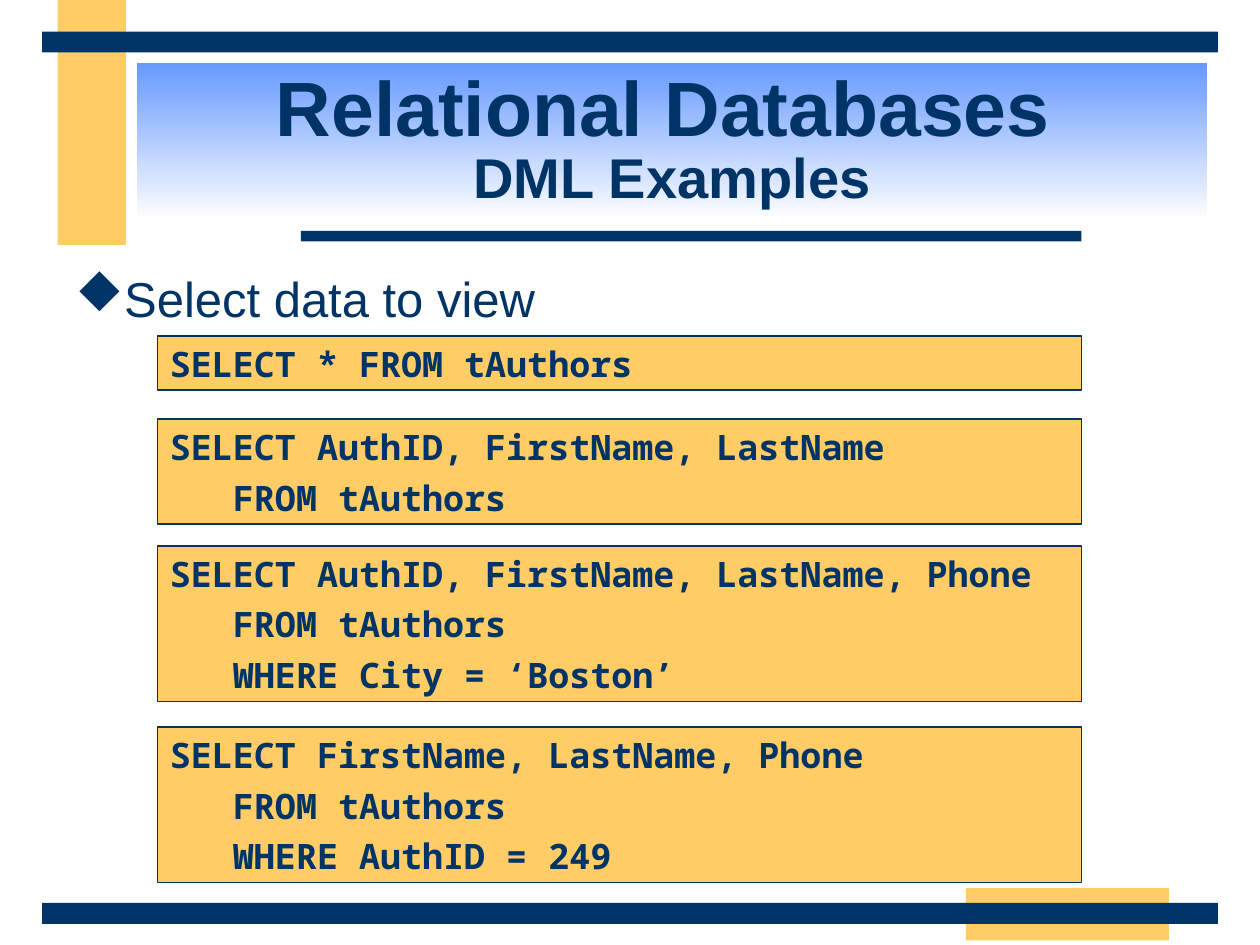
from lxml.etree import SubElement
from pptx import Presentation
from pptx.dml.color import RGBColor
from pptx.enum.shapes import MSO_SHAPE
from pptx.enum.text import MSO_ANCHOR, MSO_AUTO_SIZE, PP_ALIGN
from pptx.oxml.ns import qn
from pptx.util import Pt

COLORS = {"navy": "003366", "gold": "FFCC66", "blue": "6699FF", "white": "FFFFFF"}


def color(name):
    return RGBColor.from_string(COLORS[name])


class SlideBuilder:
    sans = "Arial"
    mono = "Noto Sans Mono"

    def __init__(self, page):
        self.page = page

    def span(self, para, text, size, font, bold=False):
        span = para.add_run()
        span.text = text
        span.font.size = Pt(size)
        span.font.name = font
        span.font.bold = bold
        span.font.color.rgb = color("navy")

    def bar(self, left, top, width, height, fill):
        bar = self.page.shapes.add_shape(
            MSO_SHAPE.RECTANGLE, Pt(left), Pt(top), Pt(width), Pt(height))
        bar.shadow.inherit = False
        bar.fill.solid()
        bar.fill.fore_color.rgb = color(fill)
        bar.line.fill.background()
        return bar

    def title(self, left, top, width, height, heading, subheading):
        title = self.page.shapes.title
        title.left, title.top = Pt(left), Pt(top)
        title.width, title.height = Pt(width), Pt(height)
        title.fill.gradient()
        title.fill.gradient_angle = 270
        for stop, name in zip(title.fill.gradient_stops, ("blue", "white")):
            stop.color.rgb = color(name)
        frame = title.text_frame
        frame.word_wrap = True
        frame.auto_size = MSO_AUTO_SIZE.NONE
        frame.vertical_anchor = MSO_ANCHOR.MIDDLE
        para = frame.paragraphs[0]
        para.alignment = PP_ALIGN.CENTER
        para.line_spacing = 0.85
        self.span(para, heading, 44, self.sans, True)
        self.span(para, " ", 36, self.sans, True)
        para.add_line_break()
        self.span(para, subheading, 32, self.sans, True)

    def bullet(self, left, top, width, height, text):
        box = self.page.shapes.add_textbox(Pt(left), Pt(top), Pt(width), Pt(height))
        box.text_frame.word_wrap = True
        para = box.text_frame.paragraphs[0]
        props = para._p.get_or_add_pPr()
        props.set("marL", str(Pt(27)))
        props.set("indent", str(-Pt(27)))
        bullet_color = SubElement(props, qn("a:buClr"))
        SubElement(bullet_color, qn("a:srgbClr"), val=COLORS["navy"])
        # The letter u is a solid diamond in Wingdings
        SubElement(props, qn("a:buFont"), typeface="Wingdings",
                   pitchFamily="2", charset="2")
        SubElement(props, qn("a:buChar"), char="u")
        self.span(para, text, 28, self.sans)

    def code(self, left, top, width, lines):
        height = 2.2 + 28.9 * len(lines)
        box = self.bar(left, top, width, height, "gold")
        box.line.color.rgb = color("navy")
        box.line.width = Pt(1)
        frame = box.text_frame
        frame.word_wrap = True
        frame.auto_size = MSO_AUTO_SIZE.SHAPE_TO_FIT_TEXT
        frame.vertical_anchor = MSO_ANCHOR.TOP
        for index, line in enumerate(lines):
            para = frame.add_paragraph() if index else frame.paragraphs[0]
            para.alignment = PP_ALIGN.LEFT
            if index:
                para.space_before = Pt(5)
            self.span(para, line, 20, self.mono, True)


def main():
    deck = Presentation()
    deck.slide_width, deck.slide_height = Pt(720), Pt(540)
    page = deck.slides.add_slide(deck.slide_layouts[5])
    builder = SlideBuilder(page)

    # Decorative bars
    builder.bar(33, 0, 39, 140, "gold")
    builder.bar(552, 507.5, 116, 30, "gold")
    builder.bar(172, 132, 446, 6, "navy")
    for top in (516, 18):
        builder.bar(24, top, 672, 12, "navy")

    # Heading and bullet
    builder.title(78, 36, 612, 90, "Relational Databases", "DML Examples")
    builder.bullet(36, 150, 648, 42, "Select data to view")

    # Query examples
    source = "   FROM tAuthors"
    queries = [
        (192, ["SELECT * FROM tAuthors"]),
        (239.5, ["SELECT AuthID, FirstName, LastName", source]),
        (312, ["SELECT AuthID, FirstName, LastName, Phone", source,
               "   WHERE City = ‘Boston’"]),
        (415.5, ["SELECT FirstName, LastName, Phone", source,
                 "   WHERE AuthID = 249"]),
    ]
    for top, lines in queries:
        builder.code(90, top, 528, lines)

    deck.save("out.pptx")


if __name__ == "__main__":
    main()
